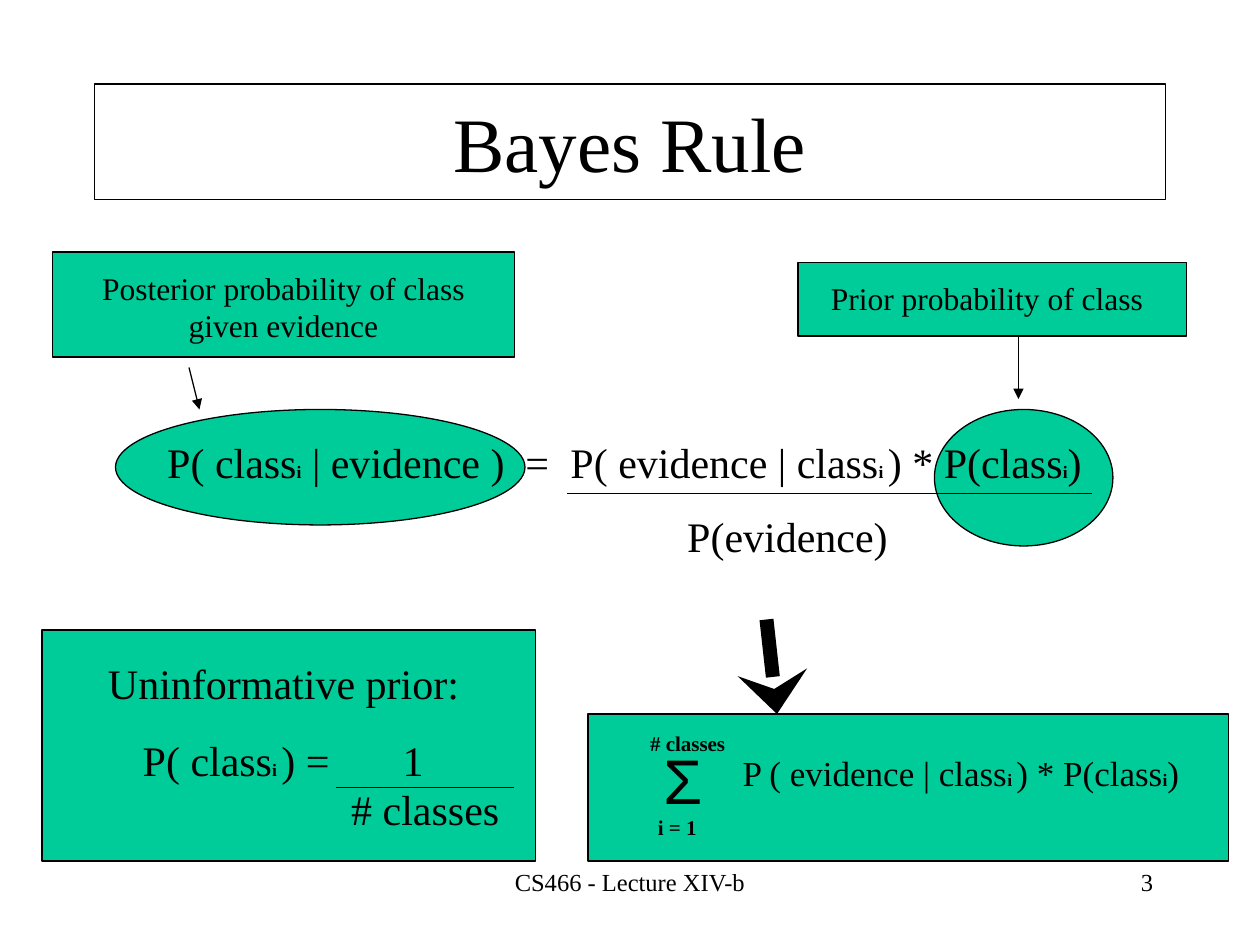
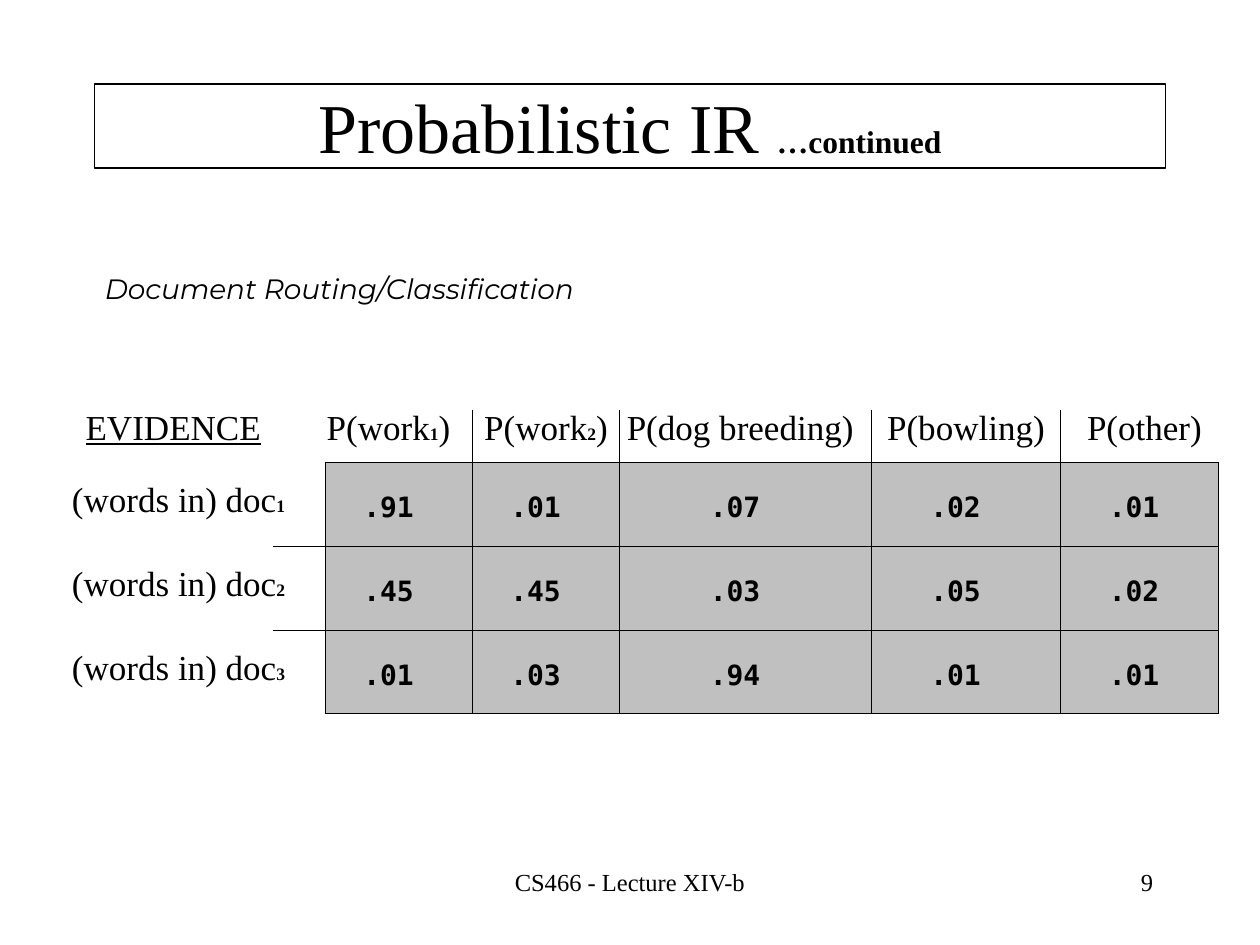
"""Build two lecture slides on Bayes rule and probabilistic retrieval."""
import itertools

import lxml.etree
import pptx
import pptx.dml.color
import pptx.enum.shapes
import pptx.enum.text
import pptx.oxml.ns
import pptx.util

Pt = pptx.util.Pt
RGBColor = pptx.dml.color.RGBColor
Align = pptx.enum.text.PP_ALIGN
Anchor = pptx.enum.text.MSO_ANCHOR
Shape = pptx.enum.shapes.MSO_SHAPE
qn = pptx.oxml.ns.qn

BLACK = RGBColor(0x00, 0x00, 0x00)
GREEN = RGBColor(0x00, 0xCC, 0x99)
GRAY = RGBColor(0xC0, 0xC0, 0xC0)
SERIF = "Times New Roman"
MONO = "DejaVu Sans Mono"
FOOTER = "CS466 - Lecture XIV-b"

COLUMN_WIDTHS = [162, 84, 84, 144, 108, 90]
HEADINGS = [["EVIDENCE"], ["P(work", "1", ")"], ["P(work", "2", ")"],
            ["P(dog breeding)"], ["P(bowling)"], ["P(other)"]]
HEADING_SHIFTS = [-6, -6, 0, -3, 0, 3]
VALUE_SHIFTS = [-3, -6, -6, -6, -6, -3]
PROBABILITIES = [
    [".91", ".01", ".07", ".02", ".01"],
    [".45", ".45", ".03", ".05", ".02"],
    [".01", ".03", ".94", ".01", ".01"],
]
TABLE_LEFT, GRID_TOP, HEADING_HEIGHT, ROW_HEIGHT = 24, 264, 32, 48


def points(*lengths):
    """Convert plain numbers to point lengths."""
    return [Pt(length) for length in lengths]


def write_text(text_frame, pieces, size, font=SERIF, small=10, align=Align.CENTER,
               bold=False, italic=False, underline=False):
    """Write pieces in one paragraph, every second one small and bold."""
    paragraph = text_frame.paragraphs[0]
    paragraph.alignment = align
    for index, piece in enumerate(pieces):
        run = paragraph.add_run()
        run.text = piece
        is_small = index % 2 == 1
        run.font.name = font
        run.font.size = Pt(small if is_small else size)
        run.font.bold = bold or is_small
        run.font.italic = italic
        run.font.underline = underline
        run.font.color.rgb = BLACK


def add_text(slide, box, pieces, size, anchor=Anchor.TOP, **style):
    """Add a text box."""
    text_frame = slide.shapes.add_textbox(*points(*box)).text_frame
    text_frame.word_wrap = True
    text_frame.vertical_anchor = anchor
    write_text(text_frame, pieces, size, **style)


def add_panel(slide, kind, box):
    """Add a green outlined shape."""
    shape = slide.shapes.add_shape(kind, *points(*box))
    shape.shadow.inherit = False
    shape.fill.solid()
    shape.fill.fore_color.rgb = GREEN
    shape.line.color.rgb = BLACK
    shape.line.width = Pt(0.75)


def add_line(slide, start, end, width=0.75, **head):
    """Add a straight black line, with an arrowhead at its end if described."""
    line = slide.shapes.add_connector(
        pptx.enum.shapes.MSO_CONNECTOR.STRAIGHT, *points(*start, *end))
    line.line.color.rgb = BLACK
    line.line.width = Pt(width)
    if head:
        lxml.etree.SubElement(line.line._get_or_add_ln(), qn("a:tailEnd"), **head)
    lxml.etree.SubElement(line._element.spPr, qn("a:effectLst"))


def add_slide(presentation, title_pieces, title_size, title_height, number):
    """Add a slide with its boxed title, footer and page number."""
    slide = presentation.slides.add_slide(presentation.slide_layouts[5])
    title = slide.shapes.title
    title.left, title.top, title.width, title.height = points(54, 48, 612, title_height)
    title.line.color.rgb = BLACK
    title.line.width = Pt(0.75)
    title.text_frame.auto_size = pptx.enum.text.MSO_AUTO_SIZE.NONE
    title.text_frame.vertical_anchor = Anchor.MIDDLE
    write_text(title.text_frame, title_pieces, title_size, small=18)
    add_text(slide, (246, 492, 228, 36), [FOOTER], 14)
    add_text(slide, (516, 492, 150, 36), [str(number)], 14, align=Align.RIGHT)
    return slide


def set_borders(cell, visible):
    """Draw the named cell edges in black and clear the others."""
    properties = cell._tc.get_or_add_tcPr()
    for edge in "LRTB":
        line = lxml.etree.SubElement(properties, qn(f"a:ln{edge}"), w=str(Pt(0.5)))
        if edge in visible:
            fill = lxml.etree.SubElement(line, qn("a:solidFill"))
            lxml.etree.SubElement(fill, qn("a:srgbClr"), val=str(BLACK))
        else:
            lxml.etree.SubElement(line, qn("a:noFill"))


def fill_cell(cell, pieces, size, borders, shift, top, color=None, **style):
    """Write a table cell, its centred text moved sideways by shift."""
    set_borders(cell, borders)
    if color is None:
        cell.fill.background()
    else:
        cell.fill.solid()
        cell.fill.fore_color.rgb = color
    cell.margin_left = Pt(max(0, 2 * shift))
    cell.margin_right = Pt(max(0, -2 * shift))
    cell.margin_top, cell.margin_bottom = points(top, 0)
    write_text(cell.text_frame, pieces, size, **style)


def add_probability_table(slide):
    """Add the table of class probabilities for each document."""
    row_count, column_count = len(PROBABILITIES), len(COLUMN_WIDTHS)
    height = HEADING_HEIGHT + ROW_HEIGHT * row_count
    table = slide.shapes.add_table(
        row_count + 1, column_count,
        *points(TABLE_LEFT, GRID_TOP - HEADING_HEIGHT, sum(COLUMN_WIDTHS), height)).table
    table.first_row = table.horz_banding = False
    for column, width in zip(table.columns, COLUMN_WIDTHS):
        column.width = Pt(width)
    table.rows[0].height = Pt(HEADING_HEIGHT)

    for index, heading in enumerate(HEADINGS):
        fill_cell(table.cell(0, index), heading, 20, "B" if index else "",
                  HEADING_SHIFTS[index], 1.6, underline=index == 0)
    for row, values in enumerate(PROBABILITIES, 1):
        table.rows[row].height = Pt(ROW_HEIGHT)
        fill_cell(table.cell(row, 0), ["(words in) doc", str(row)], 20, "R",
                  VALUE_SHIFTS[0], 11.2)
        for column, value in enumerate(values, 1):
            outer_edges = {"L": column == 1, "R": column == column_count - 1,
                           "T": row == 1, "B": row == row_count}
            borders = [edge for edge, is_outer in outer_edges.items() if is_outer]
            fill_cell(table.cell(row, column), [value], 16, borders,
                      VALUE_SHIFTS[column], 16.8, GRAY, font=MONO, bold=True)


def add_grid_rules(slide):
    """Draw the rules between rows and columns, past the gray grid."""
    edges = list(itertools.accumulate(COLUMN_WIDTHS, initial=TABLE_LEFT))
    grid_bottom = GRID_TOP + ROW_HEIGHT * len(PROBABILITIES)
    for y in range(GRID_TOP + ROW_HEIGHT, grid_bottom, ROW_HEIGHT):
        add_line(slide, (edges[1] - 30, y), (edges[-1], y), 0.5)
    for x in edges[2:-1]:
        add_line(slide, (x, GRID_TOP - 30), (x, grid_bottom), 0.5)


def build_bayes_slide(presentation):
    """Build the slide that explains each term of Bayes rule."""
    slide = add_slide(presentation, ["Bayes Rule"], 44, 66, 3)
    add_panel(slide, Shape.RECTANGLE, (30, 144, 264, 60))
    add_text(slide, (42, 150, 240, 50),
             ["Posterior probability of class given evidence"], 18)
    add_panel(slide, Shape.RECTANGLE, (456, 150, 222, 42))
    add_text(slide, (462, 156, 204, 29), ["Prior probability of class"], 18)
    add_panel(slide, Shape.OVAL, (66, 234, 234, 66))
    add_panel(slide, Shape.OVAL, (534, 234, 102, 78))
    add_line(slide, (108, 210), (114, 234), type="triangle")
    add_line(slide, (582, 192), (582, 228), type="triangle")

    add_text(slide, (84, 246, 216, 36), ["P( class", "i", " | evidence )"], 24)
    add_text(slide, (292, 246, 30, 36), ["="], 24)
    add_text(slide, (312, 246, 320, 36),
             ["P( evidence | class", "i ", ") * P(class", "i", ")"], 24)
    add_line(slide, (324, 282), (624, 282))
    add_text(slide, (354, 288, 192, 36), ["P(evidence)"], 24)

    add_panel(slide, Shape.RECTANGLE, (24, 360, 282, 132))
    add_text(slide, (36, 372, 252, 36), ["Uninformative prior:"], 24)
    add_text(slide, (74.5, 416, 130, 36), ["P( class", "i ", ") ="], 24, align=Align.LEFT)
    add_text(slide, (218, 416, 36, 36), ["1"], 24)
    add_line(slide, (192, 450), (294, 450))
    add_text(slide, (186, 444, 114, 36), ["# classes"], 24)

    add_panel(slide, Shape.RECTANGLE, (336, 408, 366, 84))
    add_line(slide, (438, 354), (444, 408), 8, type="stealth", w="lg")
    add_text(slide, (360, 414, 66, 22), ["# classes"], 12, bold=True)
    add_text(slide, (372, 420, 30, 50), ["Σ"], 36, font="Arial")
    add_text(slide, (366, 462, 42, 22), ["i = 1"], 12, bold=True)
    add_text(slide, (414, 426, 270, 32),
             ["P ( evidence | class", "i ", ") * P(class", "i", ")"], 20)


def build_routing_slide(presentation):
    """Build the slide with the document routing probabilities."""
    slide = add_slide(presentation, ["Probabilistic IR ", "…continued"], 40, 48, 9)
    add_text(slide, (52.8, 126, 288, 78), ["Document Routing/Classification"], 16,
             anchor=Anchor.MIDDLE, font="Montserrat", align=Align.LEFT, italic=True)
    add_probability_table(slide)
    add_grid_rules(slide)


def main():
    """Build and save the presentation."""
    presentation = pptx.Presentation()
    presentation.slide_width, presentation.slide_height = points(720, 540)
    build_bayes_slide(presentation)
    build_routing_slide(presentation)
    presentation.save("out.pptx")


if __name__ == "__main__":
    main()
